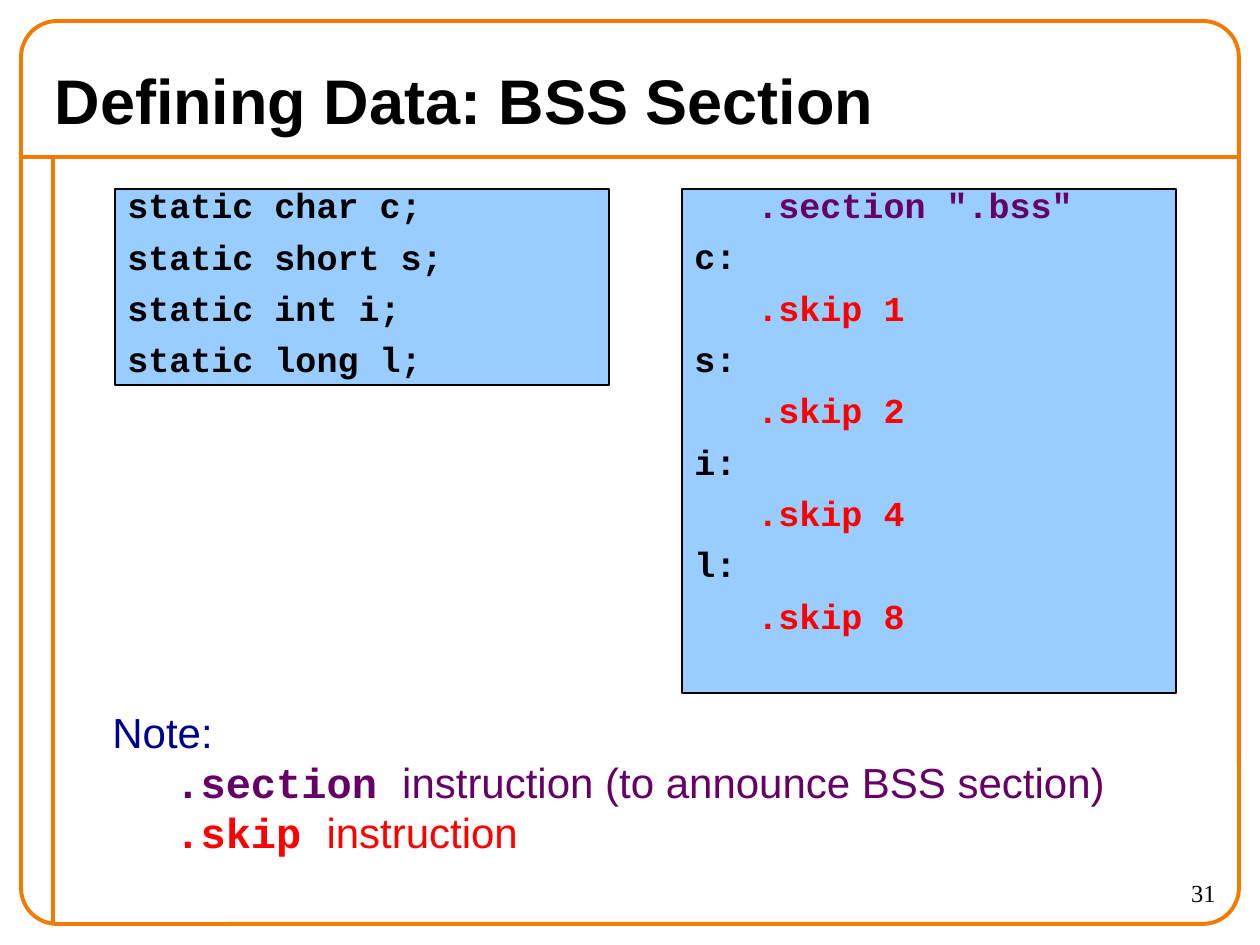
from lxml import etree
from pptx import Presentation
from pptx import util as u
from pptx.dml.color import RGBColor
from pptx.enum import shapes, text
from pptx.oxml.ns import qn

COLORS = {
    "frame": "F47A00", "black": "000000", "code": "99CCFF",
    "section": "660066", "skip": "FF0000", "note": "000090",
}
MONO, SANS, SERIF = "Courier New", "Arial", "Times New Roman"


def px(n):
    return u.Emu(round(n * 914400 / 126))


def color(name):
    return RGBColor.from_string(COLORS[name])


def set_font(font, name, size, color_name, bold=False):
    font.name = name
    font.size = u.Pt(size)
    font.bold = bold
    font.color.rgb = color(color_name)


def set_indent(p, left, first=0):
    pPr = p._p.get_or_add_pPr()
    pPr.set("marL", str(px(left)))
    pPr.set("indent", str(px(first)))


def add_rule(s, x1, y1, x2, y2):
    line = s.shapes.add_connector(
        shapes.MSO_CONNECTOR.STRAIGHT, px(x1), px(y1), px(x2), px(y2))
    line.line.color.rgb = color("frame")
    line.line.width = u.Pt(2.25)
    etree.SubElement(line._element.spPr, qn("a:effectLst"))


def add_box(s, kind, x, y, w, h, line, width, fill=None):
    sp = s.shapes.add_shape(kind, px(x), px(y), px(w), px(h))
    sp.shadow.inherit = False
    sp.line.color.rgb = color(line)
    sp.line.width = u.Pt(width)
    if fill:
        sp.fill.solid()
        sp.fill.fore_color.rgb = color(fill)
    else:
        sp.fill.background()
    return sp


def add_frame(s):
    add_rule(s, 21, 157, 1239, 157)
    add_rule(s, 53, 157, 53, 924)
    sp = add_box(s, shapes.MSO_SHAPE.ROUNDED_RECTANGLE,
                 21, 21, 1218, 903, "frame", 2.25)
    sp.adjustments[0] = 0.04


def add_title(s, title):
    sp = s.shapes.title
    sp.left, sp.top, sp.width, sp.height = px(42), px(52), px(1176), px(94)
    tf = sp.text_frame
    tf.text = title
    tf.vertical_anchor = text.MSO_ANCHOR.MIDDLE
    p = tf.paragraphs[0]
    p.alignment = text.PP_ALIGN.LEFT
    set_font(p.font, SANS, 36, "black", True)


def add_code(s, x, h, lines):
    sp = add_box(s, shapes.MSO_SHAPE.RECTANGLE, x, 189, 494, h,
                 "black", 0.75, "code")
    tf = sp.text_frame
    tf.vertical_anchor = text.MSO_ANCHOR.TOP
    for i, (line, color_name) in enumerate(lines):
        p = tf.paragraphs[0] if i == 0 else tf.add_paragraph()
        p.text = line
        p.alignment = text.PP_ALIGN.LEFT
        p.line_spacing = 0.7
        p.space_before = u.Pt(12.5 if i else 0)
        set_indent(p, 30, -30)
        set_font(p.font, MONO, 20, color_name, True)


def add_text(s, x, y, w, h, wrap=True):
    tf = s.shapes.add_textbox(px(x), px(y), px(w), px(h)).text_frame
    tf.word_wrap = wrap
    return tf


def add_note(s, heading, items):
    tf = add_text(s, 100, 700, 1018, 164, wrap=False)
    p = tf.paragraphs[0]
    p.text = heading
    set_font(p.font, SANS, 24, "note")
    for directive, description, color_name in items:
        p = tf.add_paragraph()
        p.level = 1
        set_indent(p, 63)
        for words, name, bold in ((directive + " ", MONO, True),
                                  (description, SANS, False)):
            r = p.add_run()
            r.text = words
            set_font(r.font, name, 24, color_name, bold)


def add_page_number(s, number):
    p = add_text(s, 1102, 872, 126, 53).paragraphs[0]
    p.text = number
    p.alignment = text.PP_ALIGN.RIGHT
    set_font(p.font, SERIF, 14, "black")


def main():
    prs = Presentation()
    prs.slide_width, prs.slide_height = px(1260), px(945)
    s = prs.slides.add_slide(prs.slide_layouts[5])
    add_frame(s)
    add_title(s, "Defining Data: BSS Section")
    add_page_number(s, "31")

    variables = (("char", "c", 1), ("short", "s", 2),
                 ("int", "i", 4), ("long", "l", 8))
    add_code(s, 115, 196,
             [(f"static {kind} {name};", "black") for kind, name, _ in variables])
    assembly = [('   .section ".bss"', "section")]
    for _, name, size in variables:
        assembly += [(f"{name}:", "black"), (f"   .skip {size}", "skip")]
    add_code(s, 682, 504, assembly)

    add_note(s, "Note:", (
        (".section", "instruction (to announce BSS section)", "section"),
        (".skip", "instruction", "skip"),
    ))
    prs.save("out.pptx")


if __name__ == "__main__":
    main()
